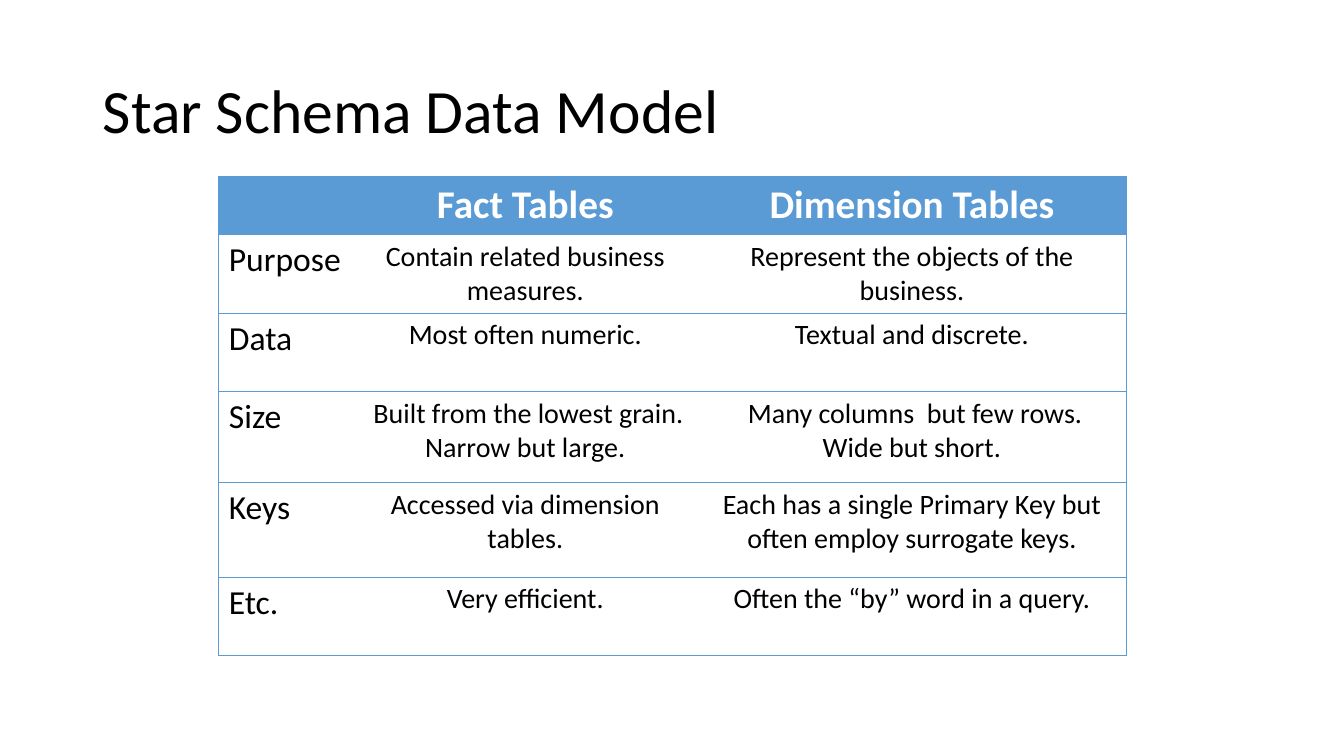
from lxml.etree import SubElement
from pptx import Presentation
from pptx.dml.color import RGBColor
from pptx.enum.text import MSO_ANCHOR as Anchor, PP_ALIGN as Align
from pptx.oxml.ns import qn
from pptx.util import Inches, Pt

BLUE = RGBColor(0x5B, 0x9B, 0xD5)
BLACK = RGBColor(0, 0, 0)
WHITE = RGBColor(255, 255, 255)
FONT = "Calibri"

COLUMN_WIDTHS = [1.33, 3.42, 4.25]
ROW_HEIGHTS = [0.57, 0.78, 0.78, 0.9, 0.94, 0.78]
ROWS = [
    ["", "Fact Tables", "Dimension Tables"],
    ["Purpose", "Contain related business measures.",
     "Represent the objects of the business."],
    ["Data", "Most often numeric.", "Textual and discrete."],
    ["Size", " Built from the lowest grain.\nNarrow but large.",
     " Many columns  but few rows.\nWide but short."],
    ["Keys", "Accessed via dimension tables.",
     "Each has a single Primary Key but often employ surrogate keys."],
    ["Etc.", "Very efficient.", "Often the “by” word in a query."],
]


def format_text(text_frame, size, color, bold, align):
    for paragraph in text_frame.paragraphs:
        paragraph.alignment = align
        for run in paragraph.runs:
            run.font.name = FONT
            run.font.size = Pt(size)
            run.font.bold = bold
            run.font.color.rgb = color


def set_borders(cell, visible_sides):
    """Draw the visible sides in blue and clear the others."""
    properties = cell._tc.get_or_add_tcPr()
    for side in "LRTB":
        line = SubElement(properties, qn(f"a:ln{side}"), w=str(Pt(0.5)))
        if side in visible_sides:
            fill = SubElement(line, qn("a:solidFill"))
            SubElement(fill, qn("a:srgbClr"), val=str(BLUE))
        else:
            SubElement(line, qn("a:noFill"))


def add_title(slide, text, left, top, width, height):
    title = slide.shapes.title
    title.left, title.top = Inches(left), Inches(top)
    title.width, title.height = Inches(width), Inches(height)
    title.text_frame.text = text
    title.text_frame.vertical_anchor = Anchor.MIDDLE
    title.text_frame.paragraphs[0].line_spacing = 0.9
    format_text(title.text_frame, 44, BLACK, False, Align.LEFT)


def add_comparison_table(slide, left, top):
    table = slide.shapes.add_table(
        len(ROWS), len(COLUMN_WIDTHS), Inches(left), Inches(top),
        Inches(sum(COLUMN_WIDTHS)), Inches(sum(ROW_HEIGHTS))).table
    table.horz_banding = False
    for column, width in zip(table.columns, COLUMN_WIDTHS):
        column.width = Inches(width)

    last_column = len(COLUMN_WIDTHS) - 1
    for row_index, texts in enumerate(ROWS):
        table.rows[row_index].height = Inches(ROW_HEIGHTS[row_index])
        for column_index, text in enumerate(texts):
            cell = table.cell(row_index, column_index)
            cell.text_frame.text = text
            align = Align.CENTER if column_index else Align.LEFT

            # Outer frame and row rules, without inner vertical lines
            sides = "TB"
            if column_index == 0:
                sides += "L"
            elif column_index == last_column:
                sides += "R"
            set_borders(cell, sides)

            # Header row, then row labels and descriptions
            if row_index == 0:
                cell.fill.solid()
                cell.fill.fore_color.rgb = BLUE
                format_text(cell.text_frame, 28, WHITE, True, align)
            else:
                cell.fill.background()
                size = 20 if column_index else 24
                format_text(cell.text_frame, size, BLACK, False, align)


def main():
    presentation = Presentation()
    presentation.slide_width = Inches(13.33)
    presentation.slide_height = Inches(7.5)
    title_only = presentation.slide_layouts[5]
    slide = presentation.slides.add_slide(title_only)
    add_title(slide, "Star Schema Data Model", 0.92, 0.4, 11.5, 1.45)
    add_comparison_table(slide, 2.17, 1.75)
    presentation.save("out.pptx")


if __name__ == "__main__":
    main()
